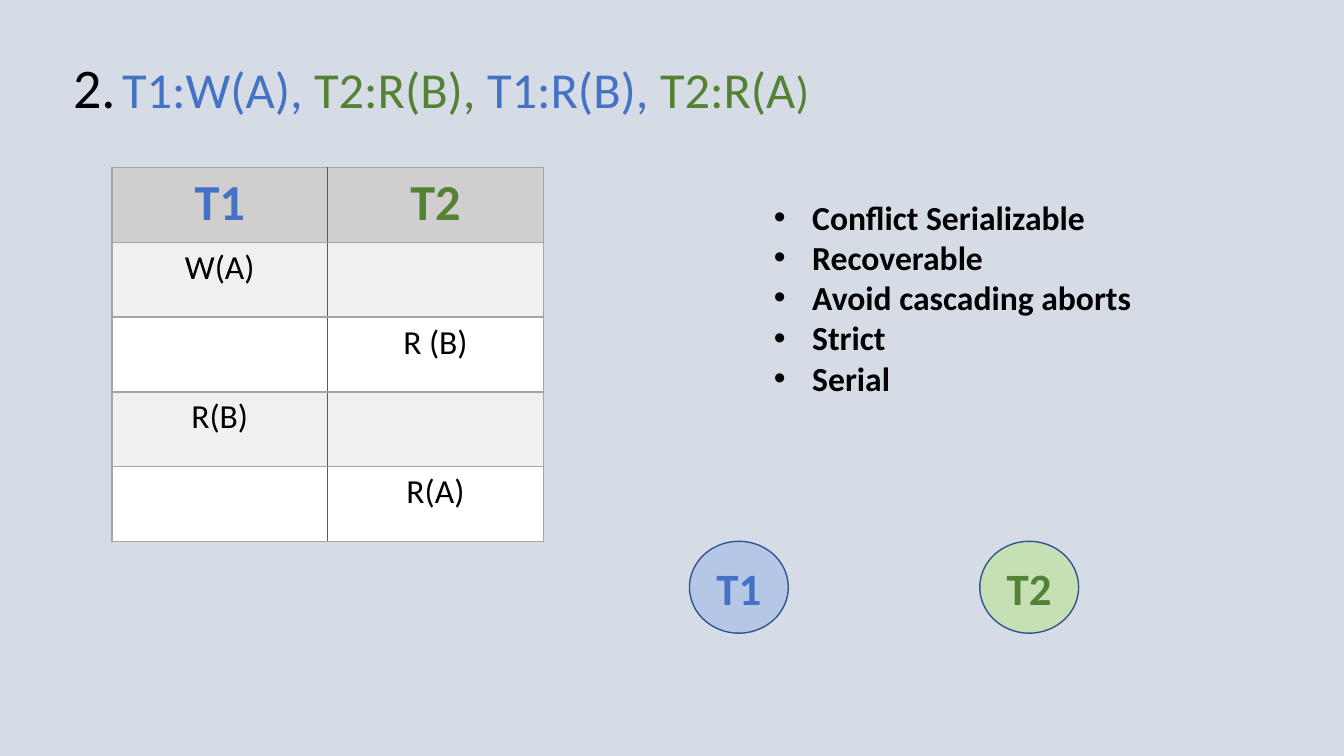
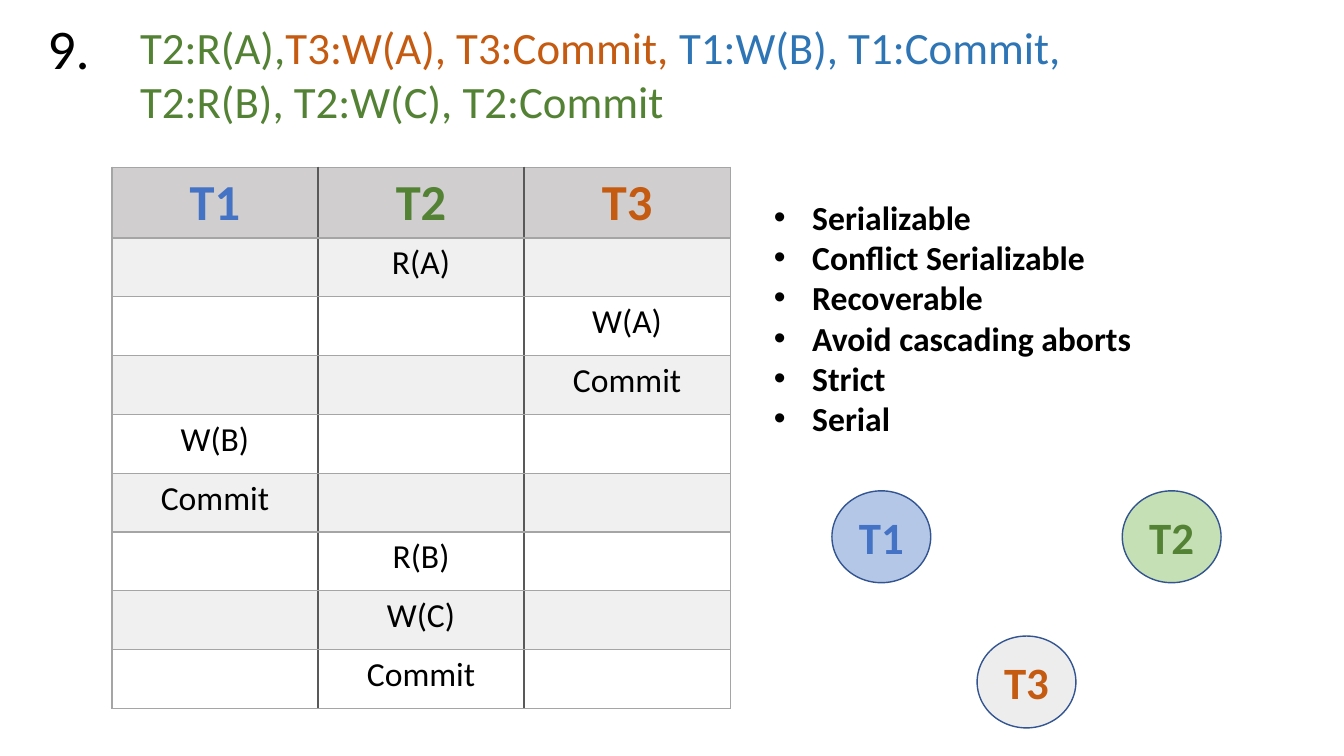
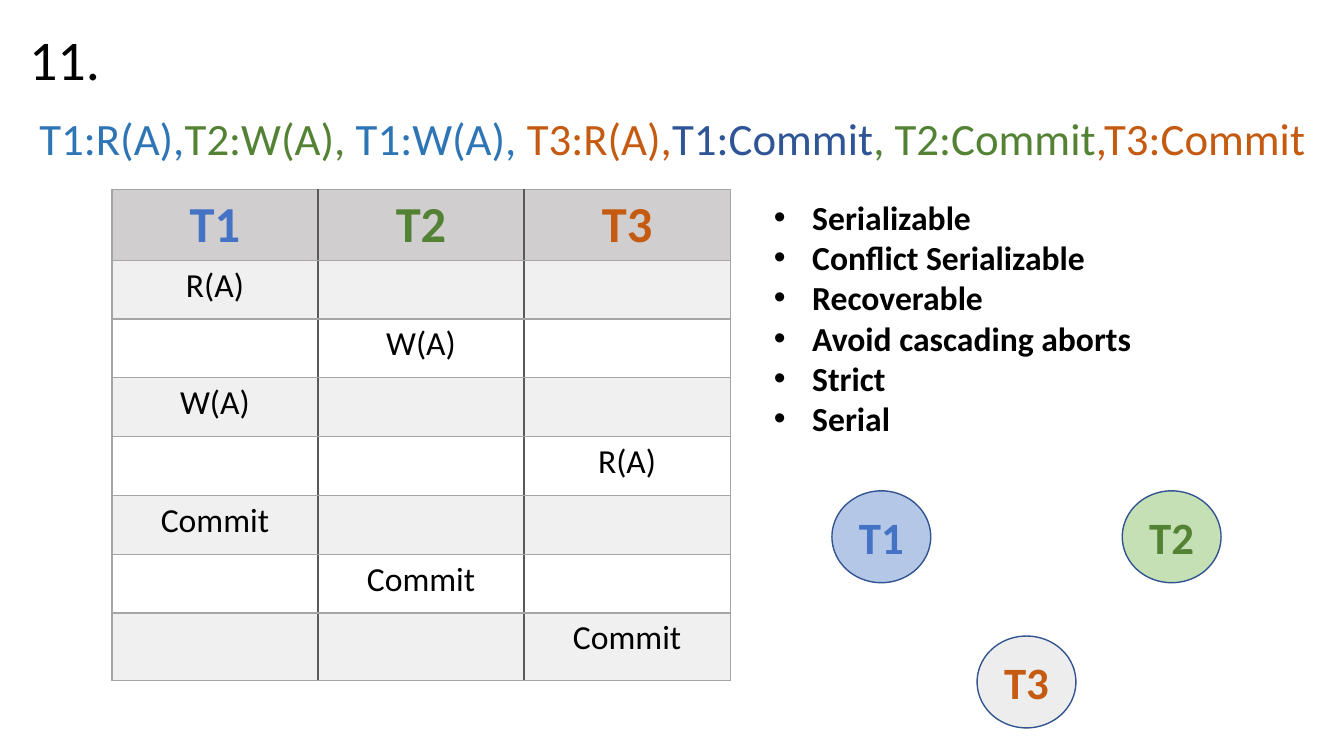
from pptx import Presentation
from pptx.dml.color import RGBColor as Rgb
from pptx.enum.shapes import MSO_SHAPE as Shape
from pptx.enum.text import MSO_ANCHOR as Anchor, MSO_AUTO_SIZE as AutoSize, PP_ALIGN as Align
from pptx.oxml import parse_xml
from pptx.oxml.ns import nsdecls
from pptx.util import Inches, Pt

# Shared look
COLORS = {
    "T1": "4472C4", "T2": "548235", "T3": "C55A11",
    "sky": "2E75B6", "navy": "2F5597", "black": "000000", "white": "FFFFFF",
    "mist": "D6DCE5", "header": "D0CECE", "band": "F0F0F0",
    "outer": "A5A5A5", "inner": "595959", "outline": "325491",
}
NODE_FILLS = {"T1": "B4C7E7", "T2": "C5E0B4", "T3": "EDEDED"}
FONT = "Calibri"
PROPERTIES = ["Serializable", "Conflict Serializable", "Recoverable",
              "Avoid cascading aborts", "Strict", "Serial"]
TABLE_LEFT = 8.33
LIST_LEFT, LIST_TOP, LIST_WIDTH, LIST_ROW = 56.85, 25.33, 28.75, 5.6
NODE_WIDTH, NODE_HEIGHT = 7.35, 12.15
# Steps from the first node, which make a triangle
NODE_STEPS = {"T1": (0, 0), "T2": (21.6, 0), "T3": (10.8, 19.2)}

presentation = Presentation()
presentation.slide_width, presentation.slide_height = Inches(13.33), Inches(7.5)
COLUMN = presentation.slide_width / 100
ROW = presentation.slide_height / 100


def area(left, top, width, height):
    """Turn shares of the slide, in percent, into a position and a size."""
    return [int(left * COLUMN), int(top * ROW), int(width * COLUMN), int(height * ROW)]


def write(paragraph, text, size, color, bold=False):
    run = paragraph.add_run()
    run.text = text
    run.font.color.rgb = Rgb.from_string(color)
    for name, value in {"name": FONT, "size": Pt(size), "bold": bold}.items():
        setattr(run.font, name, value)


# Content: titles are lines of (text, colour, size), steps are (transaction, action)
SLIDES = [
    {
        "number": "2.", "number_area": (4.7, 6.27, 4.7, 10.3), "background": "mist",
        "title_area": (8.33, 7.07, 60, 9.5),
        "title": [[("T1:W(A), ", "T1", 36), ("T2:R(B), ", "T2", 36),
                   ("T1:R(B), ", "T1", 36), ("T2:R(A", "T2", 36), (")", "T2", 32)]],
        "transactions": ["T1", "T2"],
        "steps": [("T1", "W(A)"), ("T2", "R (B)"), ("T1", "R(B)"), ("T2", "R(A)")],
        "table_top": 22.13, "table_width": 32.1, "row": 9.91, "last_row": 9.91,
        "properties": PROPERTIES[1:], "nodes_at": (51.3, 71.6),
    },
    {
        "number": "9.", "number_area": (2.78, 1.07, 4.7, 10.3), "background": "white",
        "title_area": (9.68, 2, 75, 15.7),
        "title": [[("T2:R(A),", "T2", 32), ("T3:W(A), T3:Commit, ", "T3", 32),
                   ("T1:W(B), T1:Commit,", "sky", 32)],
                  [("T2:R(B), T2:W(C), T2:Commit", "T2", 32)]],
        "transactions": ["T1", "T2", "T3"],
        "steps": [("T2", "R(A)"), ("T3", "W(A)"), ("T3", "Commit"), ("T1", "W(B)"),
                  ("T1", "Commit"), ("T2", "R(B)"), ("T2", "W(C)"), ("T2", "Commit")],
        "table_top": 22.13, "table_width": 46, "row": 7.78, "last_row": 7.78,
        "properties": PROPERTIES, "nodes_at": (61.9, 64.93),
    },
    {
        "number": "11.", "number_area": (1.43, 2.53, 6.8, 10.3), "background": "white",
        "title_area": (2.18, 14, 97, 8.6),
        "title": [[("T1:R(A),", "sky", 32), ("T2:W(A), ", "T2", 32),
                   ("T1:W(A), ", "sky", 32), ("T3:R(A),", "T3", 32),
                   ("T1:Commit", "navy", 32), (", T2:Commit", "T2", 32),
                   (",T3:Commit", "T3", 32)]],
        "transactions": ["T1", "T2", "T3"],
        "steps": [("T1", "R(A)"), ("T2", "W(A)"), ("T1", "W(A)"), ("T3", "R(A)"),
                  ("T1", "Commit"), ("T2", "Commit"), ("T3", "Commit")],
        "table_top": 25.07, "table_width": 46, "row": 7.78, "last_row": 8.9,
        "properties": PROPERTIES, "nodes_at": (61.9, 64.93),
    },
]

for content in SLIDES:
    slide = presentation.slides.add_slide(presentation.slide_layouts[5])
    slide.background.fill.solid()
    slide.background.fill.fore_color.rgb = Rgb.from_string(COLORS[content["background"]])

    # Title: the schedule, one colour per transaction
    title = slide.shapes.title
    title.left, title.top, title.width, title.height = area(*content["title_area"])
    frame = title.text_frame
    frame_format = {"word_wrap": True, "auto_size": AutoSize.NONE,
                    "vertical_anchor": Anchor.TOP}
    for name, value in frame_format.items():
        setattr(frame, name, value)
    for index, line in enumerate(content["title"]):
        paragraph = frame.add_paragraph() if index else frame.paragraphs[0]
        paragraph.alignment = Align.LEFT
        paragraph.line_spacing = 1.0
        for text, color, size in line:
            write(paragraph, text, size, COLORS[color])

    # Exercise number
    number = slide.shapes.add_textbox(*area(*content["number_area"]))
    number.text_frame.word_wrap = False
    write(number.text_frame.paragraphs[0], content["number"], 40, COLORS["black"])

    # Schedule table: one column per transaction, one row per step
    transactions, steps = content["transactions"], content["steps"]
    heights = [content["row"]] * len(steps) + [content["last_row"]]
    table = slide.shapes.add_table(
        len(heights), len(transactions),
        *area(TABLE_LEFT, content["table_top"], content["table_width"], sum(heights))).table
    table.first_row = table.horz_banding = False
    for row_index, height in enumerate(heights):
        table.rows[row_index].height = int(height * ROW)
        for column_index, transaction in enumerate(transactions):
            cell = table.cell(row_index, column_index)
            sides = {"L": "inner" if column_index else "outer",
                     "R": "outer" if transaction == transactions[-1] else "inner",
                     "T": "outer", "B": "outer"}
            for side, color in sides.items():
                cell._tc.get_or_add_tcPr().append(parse_xml(
                    f'<a:ln{side} {nsdecls("a")} w="{Pt(1)}"><a:solidFill>'
                    f'<a:srgbClr val="{COLORS[color]}"/></a:solidFill></a:ln{side}>'))
            fill = "band" if row_index % 2 else "white"
            cell.fill.solid()
            cell.fill.fore_color.rgb = Rgb.from_string(COLORS[fill if row_index else "header"])
            paragraph = cell.text_frame.paragraphs[0]
            paragraph.alignment = Align.CENTER
            if row_index == 0:
                write(paragraph, transaction, 36, COLORS[transaction], bold=True)
            elif steps[row_index - 1][0] == transaction:
                write(paragraph, steps[row_index - 1][1], 24, COLORS["black"])

    # Bulleted list of properties
    properties = content["properties"]
    listing = slide.shapes.add_textbox(
        *area(LIST_LEFT, LIST_TOP, LIST_WIDTH, LIST_ROW * len(properties)))
    listing.text_frame.word_wrap = True
    for index, text in enumerate(properties):
        paragraph = (listing.text_frame.add_paragraph() if index
                     else listing.text_frame.paragraphs[0])
        settings = paragraph._p.get_or_add_pPr()
        settings.set("marL", str(Inches(0.38)))
        settings.set("indent", str(-Inches(0.38)))
        for tag in ('buFont typeface="Arial"', 'buChar char="•"'):
            name, attribute = tag.split(" ")
            settings.append(parse_xml(f'<a:{name} {nsdecls("a")} {attribute}/>'))
        write(paragraph, text, 24, COLORS["black"], bold=True)

    # Precedence graph nodes
    first_left, first_top = content["nodes_at"]
    for transaction in transactions:
        step_right, step_down = NODE_STEPS[transaction]
        node = slide.shapes.add_shape(
            Shape.OVAL, *area(first_left + step_right, first_top + step_down,
                              NODE_WIDTH, NODE_HEIGHT))
        node.shadow.inherit = False
        node.fill.solid()
        node.fill.fore_color.rgb = Rgb.from_string(NODE_FILLS[transaction])
        node.line.color.rgb = Rgb.from_string(COLORS["outline"])
        node.line.width = Pt(1)
        node.text_frame.vertical_anchor = Anchor.MIDDLE
        paragraph = node.text_frame.paragraphs[0]
        paragraph.alignment = Align.CENTER
        write(paragraph, transaction, 32, COLORS[transaction], bold=True)

presentation.save("out.pptx")
